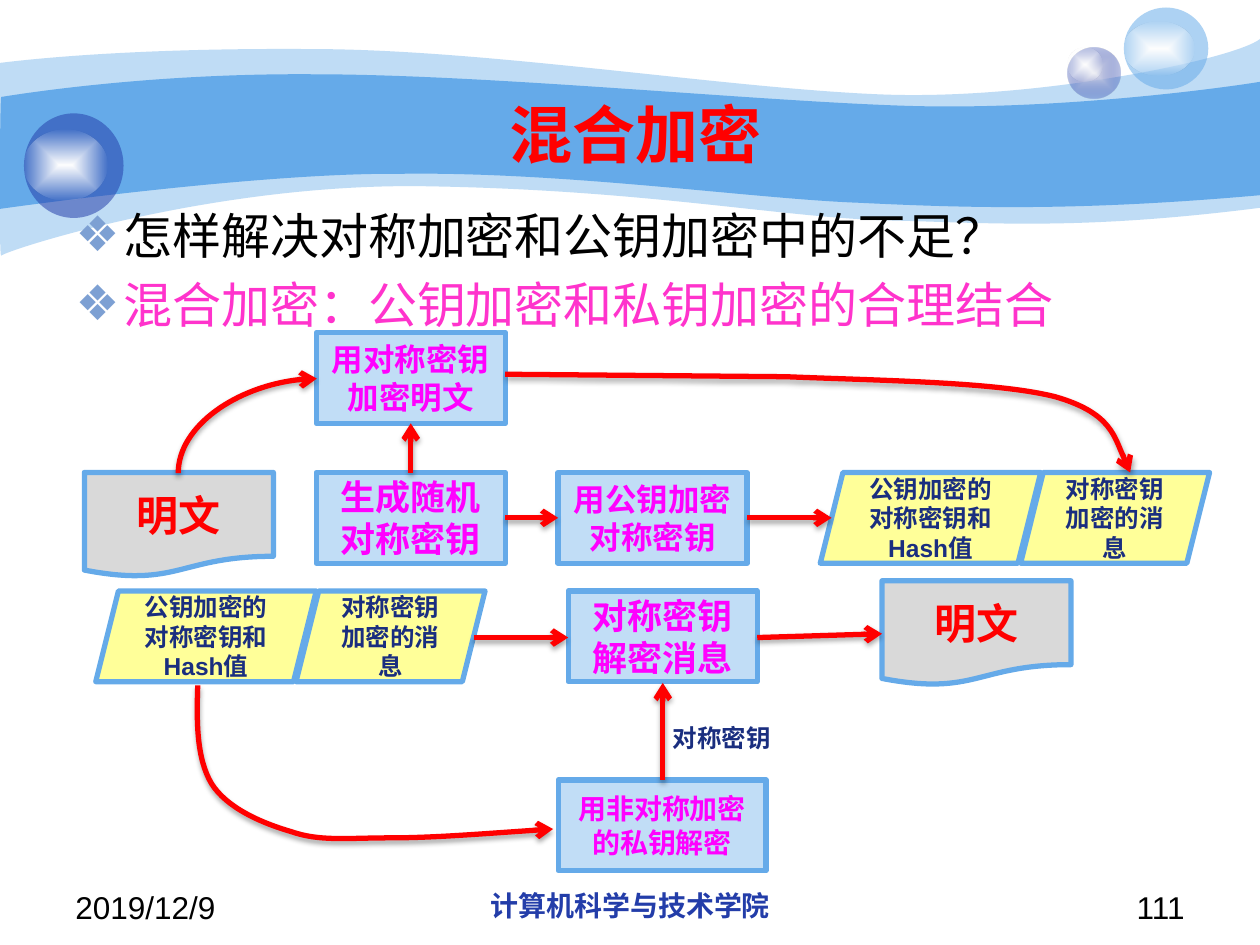
"""Build a slide that explains hybrid encryption with two flow diagrams."""
from dataclasses import dataclass

from pptx import Presentation
from pptx.dml.color import RGBColor
from pptx.enum.lang import MSO_LANGUAGE_ID as Language
from pptx.enum.shapes import MSO_CONNECTOR as Connector, MSO_SHAPE as Preset
from pptx.enum.text import MSO_ANCHOR as Anchor, MSO_AUTO_SIZE as AutoSize, PP_ALIGN as Align
from pptx.oxml import parse_xml
from pptx.oxml.ns import nsdecls, qn
from pptx.util import Inches, Pt


@dataclass(frozen=True)
class Theme:
    font: str = "Arial"
    document_font: str = "Noto Sans CJK SC"
    black: str = "000000"
    white: str = "FFFFFF"
    red: str = "FF0000"
    pink: str = "FF33CC"
    magenta: str = "FF00FF"
    navy: str = "1A2E7F"
    blue: str = "233DA9"
    sky: str = "65AAE9"
    pale: str = "C1DDF6"
    mist: str = "E1E2ED"
    gray: str = "D9D9D9"
    yellow: str = "FFFF99"
    bullet: str = "7DA0D3"
    title: int = 36
    body: int = 28
    document: int = 24
    large: int = 20
    medium: int = 18
    small: int = 16
    label: int = 14
    stroke: int = 3


theme = Theme()


def write(frame, text, size, color, font=theme.font, bold=True, align=Align.CENTER, anchor=Anchor.MIDDLE, bullet=None):
    frame.word_wrap = True
    frame.auto_size = AutoSize.NONE
    frame.vertical_anchor = anchor
    for index, line in enumerate(text.split("\n")):
        para = frame.add_paragraph() if index else frame.paragraphs[0]
        para.alignment = align
        para.space_before = Pt(0.2 * size) if index else Pt(0)
        if bullet:
            properties = para._p.get_or_add_pPr()
            properties.set("marL", str(Inches(0.38)))
            properties.set("indent", str(-Inches(0.38)))
            properties.append(parse_xml(f'<a:buClr {nsdecls("a")}><a:srgbClr val="{theme.bullet}"/></a:buClr>'))
            properties.append(parse_xml(f'<a:buFont {nsdecls("a")} typeface="{font}"/>'))
            properties.append(parse_xml(f'<a:buChar {nsdecls("a")} char="{bullet}"/>'))
        span = para.add_run()
        span.text = line
        span.font.name = font
        span.font.size = Pt(size)
        span.font.bold = bold
        span.font.language_id = Language.SIMPLIFIED_CHINESE
        span.font.color.rgb = RGBColor.from_string(color[index] if isinstance(color, list) else color)


def trace(shapes, start, segments, close=False):
    points = [(Inches(segment[i]), Inches(segment[i + 1])) for segment in segments for i in range(0, len(segment), 2)]
    builder = shapes.build_freeform(*map(Inches, start))
    builder.add_line_segments(points, close=close)
    shape = builder.convert_to_shape()
    steps = iter(list(shape.element.spPr.iter(qn("a:lnTo"))))
    for segment in segments:
        first = next(steps)
        if len(segment) == 6:
            curve = parse_xml(f'<a:cubicBezTo {nsdecls("a")}/>')
            first.addprevious(curve)
            for step in (first, next(steps), next(steps)):
                curve.append(step[0])
                step.getparent().remove(step)
    return shape


deck = Presentation()
deck.slide_width, deck.slide_height = Inches(10), Inches(7.5)
page = deck.slides.add_slide(deck.slide_layouts[1])
shapes = page.shapes

outer_wave = [(0.24, 0.47, 1.07, 0.38, 2.47, 0.39), (3.86, 0.39, 5.75, 0.7, 6.99, 0.75),
              (8.22, 0.8, 9.8, 0.47, 10, 0.31), (10, 1.65), (8.58, 1.83, 7.87, 1.77, 7.05, 1.75),
              (6.22, 1.73, 5.15, 1.51, 3.43, 1.48), (1.72, 1.44, 0.04, 1.99, 0.01, 2.03),
              (-0.01, 2.08, 0, 0.75, 0, 0.5)]
inner_wave = [(0.02, 0.77, 1.1, 0.58, 2.48, 0.59), (3.86, 0.59, 5.95, 0.8, 7.18, 0.84),
              (8.41, 0.88, 9.76, 0.69, 10, 0.65), (10, 1.55), (8.53, 1.68, 7.65, 1.65, 6.82, 1.61),
              (5.99, 1.58, 4.47, 1.36, 3.17, 1.38), (2.03, 1.37, -0.02, 1.66, -0.01, 1.66),
              (0, 1.66, 0, 0.77, 0.01, 0.77)]
shine = [(theme.white, 100), (theme.white, 0)]
balls = [
    (8.47, 0.38, 0.42, 0.4, [(theme.mist, 100), (theme.blue, 31)]), (8.47, 0.38, 0.28, 0.27, shine),
    (8.92, 0.06, 0.67, 0.65, [(theme.sky, 53)]), (8.92, 0.17, 0.56, 0.43, shine),
    (0.19, 0.9, 0.79, 0.83, [(theme.blue, 53)]), (0.19, 1.03, 0.66, 0.56, shine),
]
decorations = [(trace(shapes, (0, 0.5), outer_wave, close=True), [(theme.sky, 41)]),
               (trace(shapes, (0.01, 0.77), inner_wave, close=True), [(theme.sky, 100)])]
for *bounds, stops in balls:
    decorations.append((shapes.add_shape(Preset.OVAL, *map(Inches, bounds)), stops))
for shape, stops in decorations:
    shape.shadow.inherit = False
    shape.line.fill.background()
    shape.fill.background()
    tints = [f'<a:srgbClr val="{color}"><a:alpha val="{alpha * 1000}"/></a:srgbClr>' for color, alpha in stops]
    if len(tints) == 1:
        paint = f'<a:solidFill {nsdecls("a")}>{tints[0]}</a:solidFill>'
    else:
        paint = (f'<a:gradFill {nsdecls("a")}><a:gsLst><a:gs pos="0">{tints[0]}</a:gs>'
                 f'<a:gs pos="100000">{tints[1]}</a:gs></a:gsLst><a:path path="shape">'
                 '<a:fillToRect l="50000" t="50000" r="50000" b="50000"/></a:path></a:gradFill>')
    properties = shape.element.spPr
    properties.replace(properties.find(qn("a:noFill")), parse_xml(paint))

title, body = shapes.title, page.placeholders[1]
for holder, bounds in [(title, (1, 0.75, 8.08, 0.62)), (body, (0.5, 1.58, 9, 5.33))]:
    holder.left, holder.top, holder.width, holder.height = map(Inches, bounds)
    holder.element.getparent().append(holder.element)
write(title.text_frame, "混合加密", theme.title, theme.red)
write(body.text_frame, "怎样解决对称加密和公钥加密中的不足？\n混合加密：公钥加密和私钥加密的合理结合",
      theme.body, [theme.black, theme.pink], bold=False, align=Align.LEFT, anchor=Anchor.TOP, bullet="❖")

labels = [
    (0.5, 7, 2.33, 0.35, "2019/12/9", theme.medium, theme.black, False, Align.LEFT),
    (3.42, 7, 3.17, 0.35, "计算机科学与技术学院", theme.small, theme.blue, True, Align.CENTER),
    (7.17, 7, 2.33, 0.35, "111", theme.medium, theme.black, False, Align.RIGHT),
    (5.24, 5.69, 1.01, 0.34, "对称密钥", theme.label, theme.navy, True, Align.LEFT),
]
for *bounds, text, size, color, bold, align in labels:
    box = shapes.add_textbox(*map(Inches, bounds))
    write(box.text_frame, text, size, color, bold=bold, align=align, anchor=Anchor.TOP)

nodes = [
    (2.51, 3.75, 1.5, "生成随机对称密钥", theme.large),
    (2.51, 2.64, 1.5, "用对称密钥加密明文", theme.medium),
    (4.43, 3.75, 1.5, "用公钥加密对称密钥", theme.medium),
    (4.43, 6.19, 1.65, "用非对称加密的私钥解密", theme.small),
    (4.51, 4.69, 1.5, "对称密钥解密消息", theme.large),
]
blocks = [(Preset.FLOWCHART_PROCESS, x, y, width, 0.72, text, size, theme.magenta, theme.pale, theme.font)
          for x, y, width, text, size in nodes]
for x, y in [(0.67, 3.75), (7, 4.61)]:
    blocks.append((Preset.FLOWCHART_DOCUMENT, x, y, 1.5, 0.83, "明文",
                   theme.document, theme.red, theme.gray, theme.document_font))
for x, y in [(6.51, 3.75), (0.76, 4.69)]:
    for shift, width, text in [(0, 1.75, "公钥加密的对称密钥和Hash值"), (1.59, 1.5, "对称密钥加密的消息")]:
        blocks.append((Preset.PARALLELOGRAM, x + shift, y, width, 0.72, text,
                       theme.label, theme.navy, theme.yellow, theme.font))
for preset, *bounds, text, size, color, fill, font in blocks:
    block = shapes.add_shape(preset, *map(Inches, bounds))
    block.shadow.inherit = False
    block.fill.solid()
    block.fill.fore_color.rgb = RGBColor.from_string(fill)
    block.line.color.rgb = RGBColor.from_string(theme.sky)
    block.line.width = Pt(theme.stroke)
    write(block.text_frame, text, size, color, font=font)

links = [(3.26, 3.75, 3.26, 3.36), (4.01, 4.11, 4.43, 4.11), (5.93, 4.11, 6.6, 4.11),
         (5.26, 6.19, 5.26, 5.42), (3.76, 5.06, 4.51, 5.06), (6.01, 5.06, 7, 5.03)]
arrows = [shapes.add_connector(Connector.STRAIGHT, *map(Inches, ends)) for ends in links]
bend = shapes.add_connector(Connector.CURVE, *map(Inches, (2.34, 3.93, 1.59, 2.83)))
bend.element.spPr.find(qn("a:xfrm")).set("rot", "5400000")
bend.element.spPr.find(qn("a:prstGeom")).set("prst", "curvedConnector2")
sweeps = [
    trace(shapes, (4.01, 2.97), [(6.24, 2.99), (6.96, 3.02, 7.92, 3.03, 8.38, 3.15),
                                 (8.83, 3.28, 8.97, 3.75, 8.97, 3.75), (8.97, 3.75)]),
    trace(shapes, (1.57, 5.44), [(1.56, 5.73, 1.56, 6.02, 1.68, 6.22), (1.8, 6.41, 2.07, 6.53, 2.31, 6.6),
                                 (2.54, 6.68, 2.75, 6.65, 3.1, 6.65), (3.44, 6.65, 3.92, 6.61, 4.39, 6.58)]),
]
for sweep in sweeps:
    sweep.fill.background()
for arrow in [*arrows, bend, *sweeps]:
    arrow.line.color.rgb = RGBColor.from_string(theme.red)
    arrow.line.width = Pt(theme.stroke)
    properties = arrow.element.spPr
    properties.find(qn("a:ln")).append(parse_xml(f'<a:tailEnd {nsdecls("a")} type="arrow"/>'))
    properties.append(parse_xml(
        f'<a:effectLst {nsdecls("a")}><a:outerShdw blurRad="{Pt(3.1)}" dist="{Pt(1.8)}" dir="5400000" rotWithShape="0">'
        f'<a:srgbClr val="{theme.black}"><a:alpha val="35000"/></a:srgbClr></a:outerShdw></a:effectLst>'))

deck.save("out.pptx")
